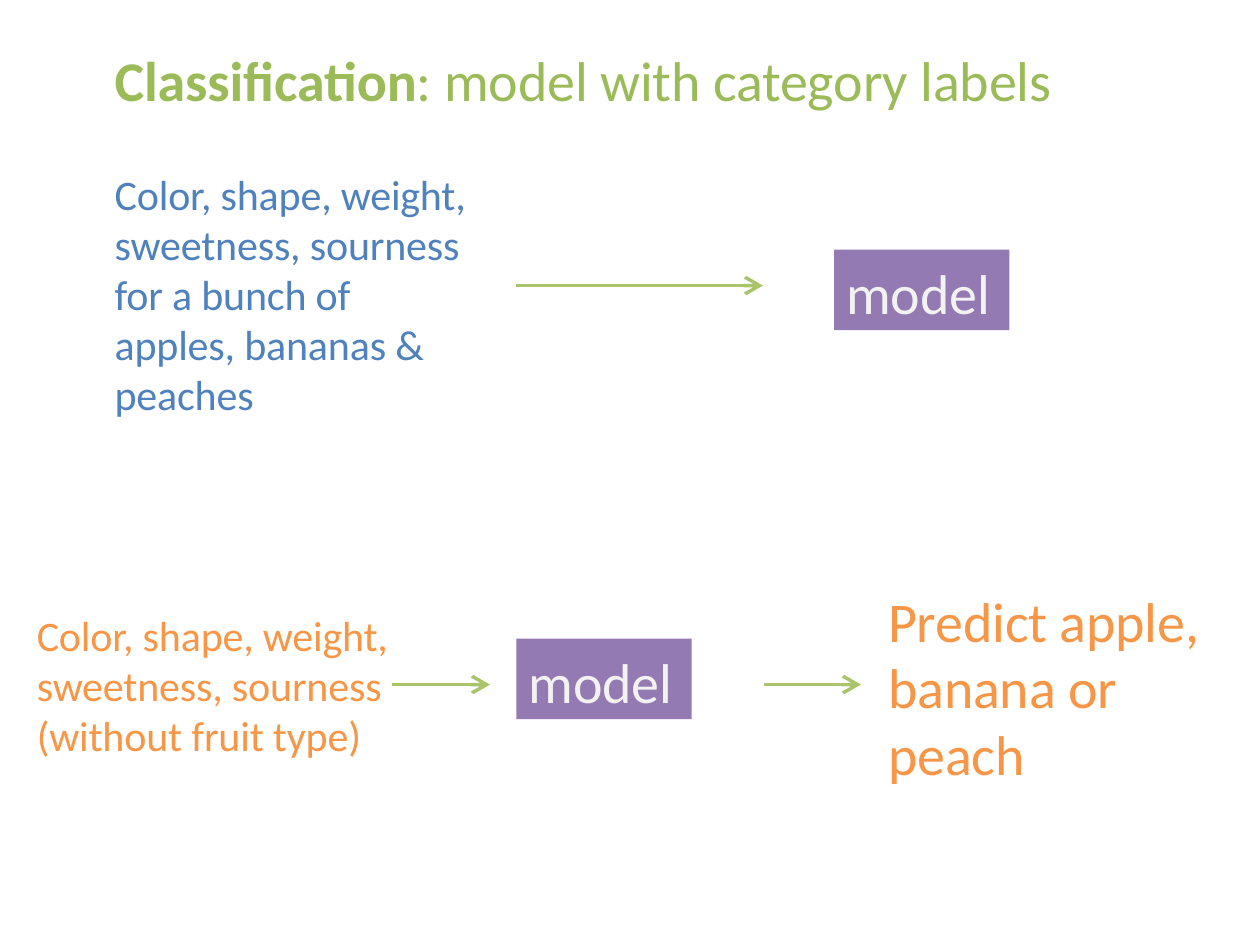
import pptx
import pptx.util
import pptx.dml.color
import pptx.enum.shapes
import pptx.enum.text
import pptx.oxml
import pptx.oxml.ns

Pt = pptx.util.Pt
RGBColor = pptx.dml.color.RGBColor

GREEN = RGBColor(0x9B, 0xBB, 0x59)
ARROW_GREEN = RGBColor(0xAA, 0xC4, 0x6C)
BLUE = RGBColor(0x4F, 0x81, 0xBD)
ORANGE = RGBColor(0xF7, 0x96, 0x46)
PURPLE = RGBColor(0x93, 0x7A, 0xB2)
PALE = RGBColor(0xF2, 0xF2, 0xF2)


def write_text(box, runs, size, color, spacing=None, left_inset=0, top_inset=0):
    frame = box.text_frame
    frame.word_wrap = True
    frame.auto_size = pptx.enum.text.MSO_AUTO_SIZE.NONE
    frame.vertical_anchor = pptx.enum.text.MSO_ANCHOR.TOP
    frame.margin_left, frame.margin_top = Pt(left_inset), Pt(top_inset)
    frame.margin_right = frame.margin_bottom = 0
    para = frame.paragraphs[0]
    para.alignment = pptx.enum.text.PP_ALIGN.LEFT
    if spacing:
        para.line_spacing = Pt(spacing)
    for words, bold in runs:
        span = para.add_run()
        span.text = words
        span.font.name = "Calibri"
        span.font.size = Pt(size)
        span.font.bold = bold
        span.font.color.rgb = color
        span._r.get_or_add_rPr().set("spc", "-10")


def set_title(page, runs):
    title = page.shapes.title
    title.left, title.top, title.width, title.height = Pt(65.5), Pt(26), Pt(560), Pt(40)
    write_text(title, runs, 32, GREEN)


def add_text(page, left, top, width, height, words, size, color, spacing):
    box = page.shapes.add_textbox(Pt(left), Pt(top), Pt(width), Pt(height))
    write_text(box, [(words, False)], size, color, spacing)


def add_model(page, left, top):
    box = page.shapes.add_shape(
        pptx.enum.shapes.MSO_SHAPE.RECTANGLE, Pt(left), Pt(top), Pt(100.2), Pt(46))
    box.shadow.inherit = False
    box.fill.solid()
    box.fill.fore_color.rgb = PURPLE
    box.line.fill.background()
    write_text(box, [("model", False)], 32, PALE, left_inset=7, top_inset=5)


def add_arrow(page, start, end, height):
    arrow = page.shapes.add_connector(
        pptx.enum.shapes.MSO_CONNECTOR.STRAIGHT, Pt(start), Pt(height), Pt(end), Pt(height))
    arrow.line.color.rgb = ARROW_GREEN
    arrow.line.width = Pt(2)
    head = pptx.oxml.parse_xml(
        f'<a:tailEnd {pptx.oxml.ns.nsdecls("a")} type="arrow" w="lg" len="lg"/>')
    arrow.line._get_or_add_ln().append(head)
    effects = pptx.oxml.parse_xml(f'<a:effectLst {pptx.oxml.ns.nsdecls("a")}/>')
    arrow._element.spPr.append(effects)


def main():
    deck = pptx.Presentation()
    deck.slide_width, deck.slide_height = Pt(720), Pt(540)
    page = deck.slides.add_slide(deck.slide_layouts[5])

    set_title(page, [("Classification", True), (": model with category labels", False)])

    add_text(page, 65.5, 96.5, 207, 146,
             "Color, shape, weight, sweetness, sourness for a bunch of apples, bananas & peaches",
             24, BLUE, 28.6)
    add_arrow(page, 295, 436, 163.2)
    add_model(page, 476.6, 142.6)

    add_text(page, 21, 348.7, 207, 88,
             "Color, shape, weight, sweetness, sourness (without fruit type)",
             24, ORANGE, 28.6)
    add_arrow(page, 224, 280, 391.2)
    add_model(page, 295, 365)
    add_arrow(page, 436.5, 492, 391.2)
    add_text(page, 507.5, 335.5, 183, 115, "Predict apple, banana or peach", 32, ORANGE, 38)

    deck.save("out.pptx")


if __name__ == "__main__":
    main()
